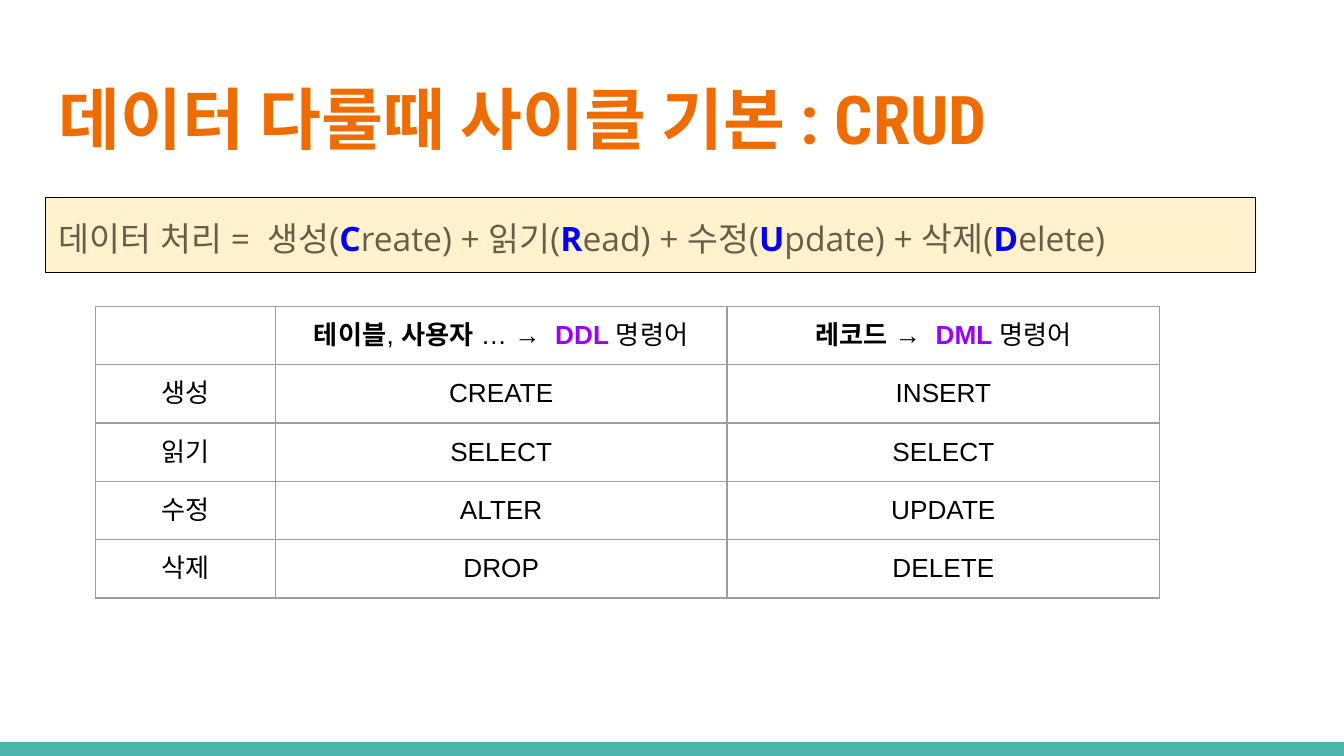
from lxml.etree import SubElement
from pptx import Presentation
from pptx.dml.color import RGBColor
from pptx.enum.shapes import MSO_SHAPE as Shape
from pptx.enum.text import MSO_ANCHOR as Anchor, PP_ALIGN as Align
from pptx.oxml.ns import qn
from pptx.util import Inches, Pt

THEME = {
    "orange": "EF6C00", "teal": "4DB6AC", "cream": "FFF2CC", "brown": "695D46",
    "blue": "0000FF", "purple": "9900FF", "black": "000000", "grid": "9E9E9E",
    "title_size": 36, "formula_size": 18, "table_size": 14, "line": 0.75,
    "title_font": "Roboto Condensed", "formula_font": "Open Sans", "table_font": "Arial",
}

TITLE = [("데이터 다룰때 사이클 기본 : CRUD", "orange", True)]
FORMULA = [
    ("데이터 처리 =  생성(", "brown", False), ("C", "blue", True),
    ("reate) + 읽기(", "brown", False), ("R", "blue", True),
    ("ead) + 수정(", "brown", False), ("U", "blue", True),
    ("pdate) + 삭제(", "brown", False), ("D", "blue", True),
    ("elete)", "brown", False),
]
HEADERS = [
    [],
    [("테이블", "black", True), (", ", "black", False), ("사용자 ", "black", True),
     ("… →  ", "black", False), ("DDL ", "purple", True), ("명령어", "black", False)],
    [("레코드 →  ", "black", True), ("DML ", "purple", True), ("명령어", "black", False)],
]
COMMANDS = [
    ("생성", "CREATE", "INSERT"),
    ("읽기", "SELECT", "SELECT"),
    ("수정", "ALTER", "UPDATE"),
    ("삭제", "DROP", "DELETE"),
]
COLUMN_WIDTHS = [1.34, 3.36, 3.22]
ROW_HEIGHT = 0.42


def color(name):
    return RGBColor.from_string(THEME[name])


def write(paragraph, pieces, role):
    for words, tint, bold in pieces:
        run = paragraph.add_run()
        run.text = words
        run.font.name = THEME[f"{role}_font"]
        run.font.size = Pt(THEME[f"{role}_size"])
        run.font.color.rgb = color(tint)
        run.font.bold = bold
        for script in ("ea", "cs"):
            SubElement(run._r.rPr, qn(f"a:{script}"), typeface=THEME[f"{role}_font"])


def set_margins(holder):
    holder.margin_left = holder.margin_right = Inches(0.1)
    holder.margin_top = holder.margin_bottom = Inches(0.1)


def fill_frame(frame, pieces, role):
    set_margins(frame)
    frame.word_wrap = True
    frame.vertical_anchor = Anchor.MIDDLE
    paragraph = frame.paragraphs[0]
    paragraph.alignment = Align.LEFT
    write(paragraph, pieces, role)
    return paragraph


def add_box(slide, place, fill, line=None):
    box = slide.shapes.add_shape(Shape.RECTANGLE, *map(Inches, place))
    box.shadow.inherit = False
    box.fill.solid()
    box.fill.fore_color.rgb = color(fill)
    if line:
        box.line.color.rgb = color(line)
        box.line.width = Pt(THEME["line"])
    else:
        box.line.fill.background()
    return box


def add_borders(cell):
    properties = cell._tc.get_or_add_tcPr()
    for position, side in enumerate(("lnL", "lnR", "lnT", "lnB")):
        border = properties.makeelement(qn(f"a:{side}"), {"w": str(Pt(THEME["line"]))})
        fill = SubElement(border, qn("a:solidFill"))
        SubElement(fill, qn("a:srgbClr"), val=THEME["grid"])
        properties.insert(position, border)


def add_commands(slide):
    rows = [HEADERS] + [[[(word, "black", False)] for word in row] for row in COMMANDS]
    table = slide.shapes.add_table(
        len(rows), len(COLUMN_WIDTHS), Inches(0.71), Inches(2.28),
        Inches(sum(COLUMN_WIDTHS)), Inches(ROW_HEIGHT * len(rows))).table
    table.first_row = table.horz_banding = False
    for column, width in zip(table.columns, COLUMN_WIDTHS):
        column.width = Inches(width)
    for r, row in enumerate(rows):
        table.rows[r].height = Inches(ROW_HEIGHT)
        for c, pieces in enumerate(row):
            cell = table.cell(r, c)
            cell.fill.background()
            add_borders(cell)
            if pieces:
                set_margins(cell)
                cell.vertical_anchor = Anchor.MIDDLE
                paragraph = cell.text_frame.paragraphs[0]
                paragraph.alignment = Align.CENTER
                write(paragraph, pieces, "table")


def main():
    deck = Presentation()
    deck.slide_width = Inches(10)
    deck.slide_height = deck.slide_width * 9 // 16
    slide = deck.slides.add_slide(deck.slide_layouts[6])
    add_box(slide, (0, 5.52, 10, 0.11), "teal")
    title = slide.shapes.add_textbox(*map(Inches, (0.34, 0.49, 9.32, 0.77)))
    fill_frame(title.text_frame, TITLE, "title")
    formula = add_box(slide, (0.34, 1.47, 9, 0.56), "cream", "black")
    fill_frame(formula.text_frame, FORMULA, "formula").line_spacing = 1.15
    add_commands(slide)
    deck.save("out.pptx")


if __name__ == "__main__":
    main()
